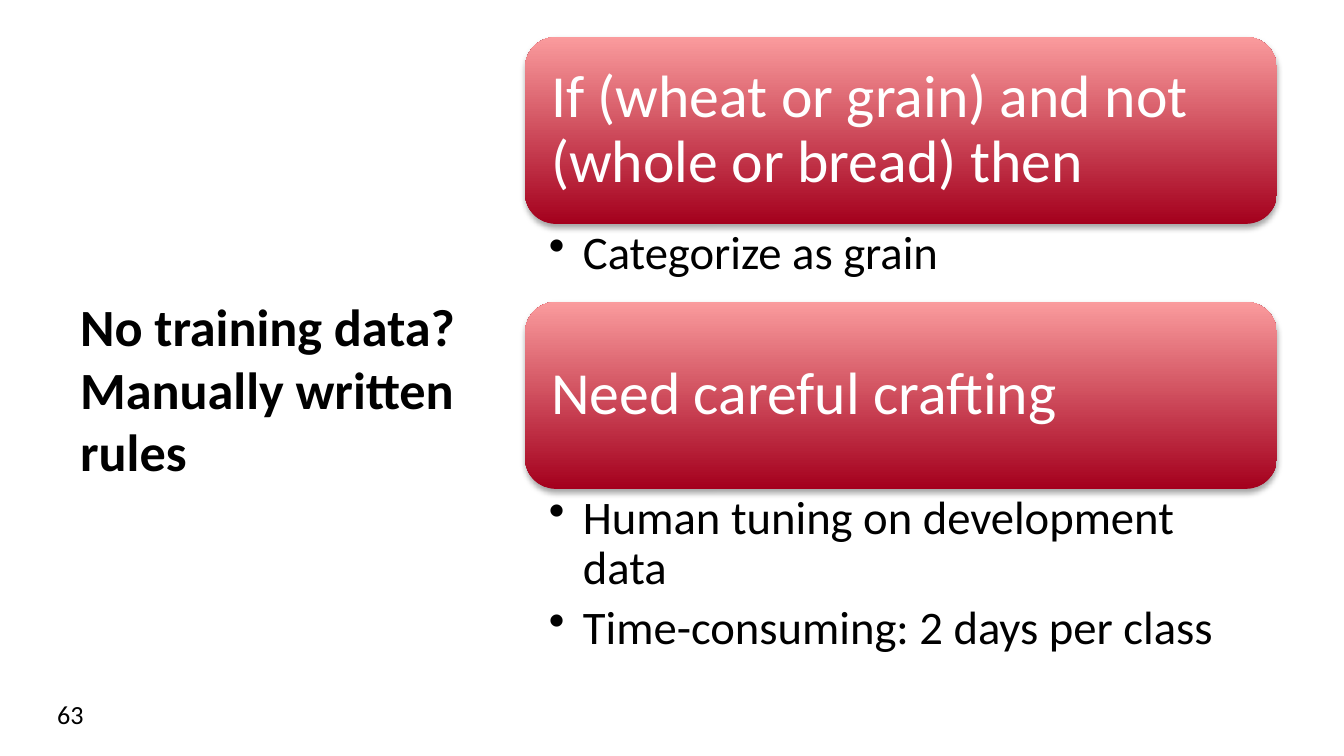
"""Build a slide on manually written classification rules."""
import pptx
import pptx.dml.color
import pptx.enum.shapes
import pptx.enum.text
import pptx.oxml
import pptx.util

PX = 914400 / 134.4
NS = 'xmlns:a="http://schemas.openxmlformats.org/drawingml/2006/main"'
SHADOW = (f'<a:effectLst {NS}><a:outerShdw blurRad="39370" dist="22860" dir="5400000" '
          'rotWithShape="0"><a:srgbClr val="000000"><a:alpha val="35000"/></a:srgbClr>'
          '</a:outerShdw></a:effectLst>')
MIDDLE = pptx.enum.text.MSO_ANCHOR.MIDDLE
BOTTOM = pptx.enum.text.MSO_ANCHOR.BOTTOM


def px(*lengths):
    return [pptx.util.Emu(round(length * PX)) for length in lengths]


def style(frame, size, color, bold=False):
    frame.word_wrap = True
    for paragraph in frame.paragraphs:
        paragraph.alignment = pptx.enum.text.PP_ALIGN.LEFT
        for run in paragraph.runs:
            run.font.name = "Calibri"
            run.font.size = pptx.util.Pt(size)
            run.font.bold = bold
            run.font.color.rgb = pptx.dml.color.RGBColor.from_string(color)


deck = pptx.Presentation()
deck.slide_width, deck.slide_height = px(1344, 756)
slide = deck.slides.add_slide(deck.slide_layouts[6])

title = slide.shapes.add_textbox(*px(67, 210, 442, 279)).text_frame
title.text = "No training data?\vManually written rules"
title.vertical_anchor = BOTTOM
style(title, 28, "000000", bold=True)

page_number = slide.shapes.add_textbox(*px(44, 692, 292, 51)).text_frame
page_number.text = "63"
style(page_number, 14, "000000")

rules = [
    ("If (wheat or grain) and not (whole or bread) then", 37, 78,
     ["Categorize as grain"]),
    ("Need careful crafting", 302, 180,
     ["Human tuning on development data", "Time-consuming: 2 days per class"]),
]
for heading, top, details_height, details in rules:
    card = slide.shapes.add_shape(
        pptx.enum.shapes.MSO_SHAPE.ROUNDED_RECTANGLE, *px(525, top, 752, 187))
    card.fill.gradient()
    card.fill.gradient_angle = 90
    for stop, position, color in zip(card.fill.gradient_stops, (0, 1), ("A4001D", "FA9B9D")):
        stop.position = position
        stop.color.rgb = pptx.dml.color.RGBColor.from_string(color)
    card.line.fill.background()
    card._element.spPr.append(pptx.oxml.parse_xml(SHADOW))
    rule = card.text_frame
    rule.text = heading
    rule.vertical_anchor = MIDDLE
    rule.margin_left, rule.margin_top, rule.margin_right, rule.margin_bottom = px(17, 17, 17, 17)
    rule.paragraphs[0].line_spacing = 0.9
    style(rule, 32, "FFFFFF")

    notes = slide.shapes.add_textbox(*px(525, top + 187, 752, details_height)).text_frame
    notes.text = "\n".join(details)
    notes.margin_left, notes.margin_top, notes.margin_right, notes.margin_bottom = px(24, 5, 34, 5)
    for point in notes.paragraphs:
        properties = point._p.get_or_add_pPr()
        indent = px(34)[0]
        properties.set("marL", str(indent))
        properties.set("indent", str(-indent))
        properties.append(pptx.oxml.parse_xml(f'<a:buChar {NS} char="•"/>'))
        point.line_spacing = 0.9
        point.space_after = pptx.util.Pt(5)
    style(notes, 25, "000000")

deck.save("out.pptx")
